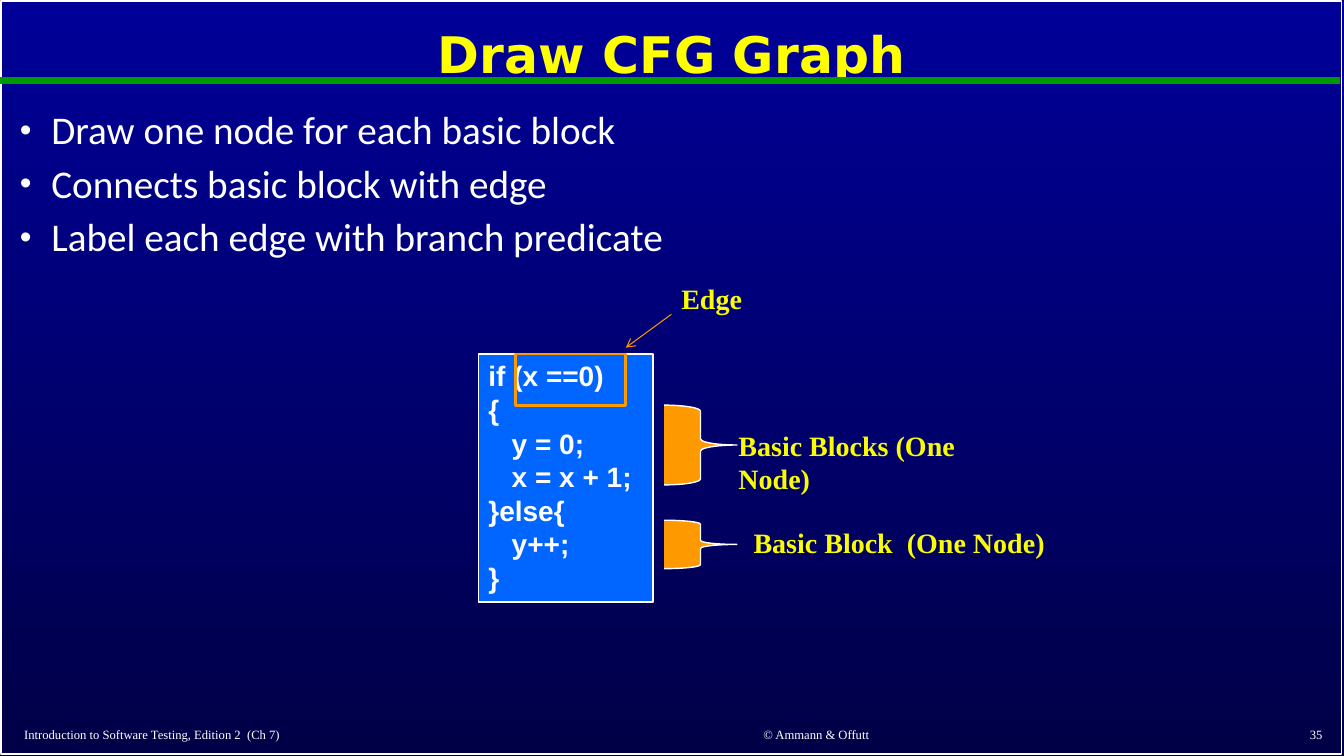
import pptx
import pptx.util
import pptx.dml.color
import pptx.enum.shapes
import pptx.enum.text
import pptx.oxml
import pptx.oxml.ns

Cm = pptx.util.Cm
Pt = pptx.util.Pt
Kind = pptx.enum.shapes.MSO_SHAPE
Side = pptx.enum.text.PP_ALIGN
Hold = pptx.enum.text.MSO_ANCHOR
Size = pptx.enum.text.MSO_AUTO_SIZE

HUES = {
    "top": "000099", "base": "000047", "white": "FFFFFF", "title": "FFFF00",
    "rule": "009900", "code": "0066FF", "mark": "FF9900", "note": "FAFD00",
    "arrow": "F99600",
}


def hue(name):
    return pptx.dml.color.RGBColor.from_string(HUES[name])


def node(tag, **attrs):
    item = pptx.oxml.parse_xml(f"<a:{tag} {pptx.oxml.ns.nsdecls('a')}/>")
    for key, value in attrs.items():
        item.set(key, value)
    return item


class Deck:
    serif = "Times New Roman"

    def __init__(self):
        self.show = pptx.Presentation()
        self.show.slide_width = Cm(33.87)
        self.show.slide_height = Cm(19.05)
        self.slide = self.show.slides.add_slide(self.show.slide_layouts[1])
        self.shapes = self.slide.shapes

    def back(self, first, last):
        fill = self.slide.background.fill
        fill.gradient()
        fill.gradient_angle = 270
        for stop, name in zip(fill.gradient_stops, (first, last)):
            stop.color.rgb = hue(name)

    def label(self, shape, lines, size, font, color, bold=False,
              align=Side.LEFT, anchor=Hold.TOP, pitch=None, gap=0, bullet=None):
        frame = shape.text_frame
        frame.word_wrap = True
        frame.auto_size = Size.NONE
        frame.vertical_anchor = anchor
        for i, line in enumerate(lines):
            para = frame.paragraphs[0] if i == 0 else frame.add_paragraph()
            para.alignment = align
            para.line_spacing = pitch
            para.space_before = Pt(gap if i else 0)
            if bullet:
                props = para._p.get_or_add_pPr()
                props.set("marL", str(Cm(0.79)))
                props.set("indent", str(-Cm(0.79)))
                props.append(node("buSzPct", val="85000"))
                props.append(node("buChar", char=bullet))
            run = para.add_run()
            run.text = line
            run.font.size = Pt(size)
            run.font.name = font
            run.font.bold = bold
            run.font.color.rgb = hue(color)

    def holder(self, index, box, lines, **style):
        shape = self.slide.placeholders[index]
        shape.left, shape.top, shape.width, shape.height = map(Cm, box)
        self.label(shape, lines, **style)

    def text(self, box, line, **style):
        shape = self.shapes.add_textbox(*map(Cm, box))
        self.label(shape, [line], font=self.serif, **style)

    def note(self, box, line):
        self.text(box, line, size=20, color="note", bold=True)

    def shape(self, kind, box, line, width=1, fill=None):
        shape = self.shapes.add_shape(kind, *map(Cm, box))
        shape.shadow.inherit = False
        if fill:
            shape.fill.solid()
            shape.fill.fore_color.rgb = hue(fill)
        else:
            shape.fill.background()
        shape.line.color.rgb = hue(line)
        shape.line.width = Pt(width)
        return shape

    def line(self, ends, color, width, head=False):
        link = self.shapes.add_connector(
            pptx.enum.shapes.MSO_CONNECTOR.STRAIGHT, *map(Cm, ends))
        link.line.color.rgb = hue(color)
        link.line.width = Pt(width)
        if head:
            link.line._get_or_add_ln().append(node("tailEnd", type="arrow"))
        link._element.spPr.append(node("effectLst"))


def main():
    deck = Deck()
    deck.back("top", "base")
    deck.shape(Kind.RECTANGLE, (0.03, 0.03, 33.78, 18.97), "white")
    deck.line((0, 2.03, 33.78, 2.03), "rule", 4.5)
    deck.holder(0, (0.25, 0.28, 33.35, 2.34), ["Draw CFG Graph"], size=36,
                font="DejaVu Sans", color="title", bold=True,
                align=Side.CENTER, anchor=Hold.MIDDLE, pitch=0.9)
    deck.holder(1, (0.25, 2.67, 33.35, 15.47), [
        "Draw one node for each basic block",
        "Connects basic block with edge",
        "Label each edge with branch predicate",
    ], size=28, font="Calibri", color="white", pitch=0.9, gap=8, bullet="•")

    for left, width, line, align in (
        (0.36, 13.92, "Introduction to Software Testing, Edition 2  (Ch 7)", Side.LEFT),
        (15.21, 10.72, "© Ammann & Offutt", Side.CENTER),
        (26.52, 7.06, "35", Side.RIGHT),
    ):
        deck.text((left, 18.18, width, 0.67), line, size=9, color="white",
                  align=align, anchor=Hold.MIDDLE)

    code = deck.shape(Kind.RECTANGLE, (12.06, 8.92, 4.4, 6.25), "white", fill="code")
    deck.label(code, [
        "if (x ==0)",
        "{",
        "   y = 0;",
        "   x = x + 1;",
        "}else{",
        "   y++;",
        "}",
    ], size=20, font="Arial", color="white", bold=True)

    for top, height in ((10.21, 2.01), (13.11, 1.22)):
        deck.shape(Kind.RIGHT_BRACE, (16.74, top, 1.83, height), "white", fill="mark")
    deck.note((18.36, 10.67, 6.1, 2), "Basic Blocks (One Node)")
    deck.note((18.74, 13.11, 8.36, 1.12), "Basic Block  (One Node)")

    deck.shape(Kind.RECTANGLE, (13, 8.92, 2.77, 1.3), "mark", width=2)
    deck.note((16.92, 6.98, 2.06, 1.12), "Edge")
    deck.line((16.92, 7.92, 15.77, 8.76), "arrow", 0.75, head=True)
    deck.show.save("out.pptx")


if __name__ == "__main__":
    main()
